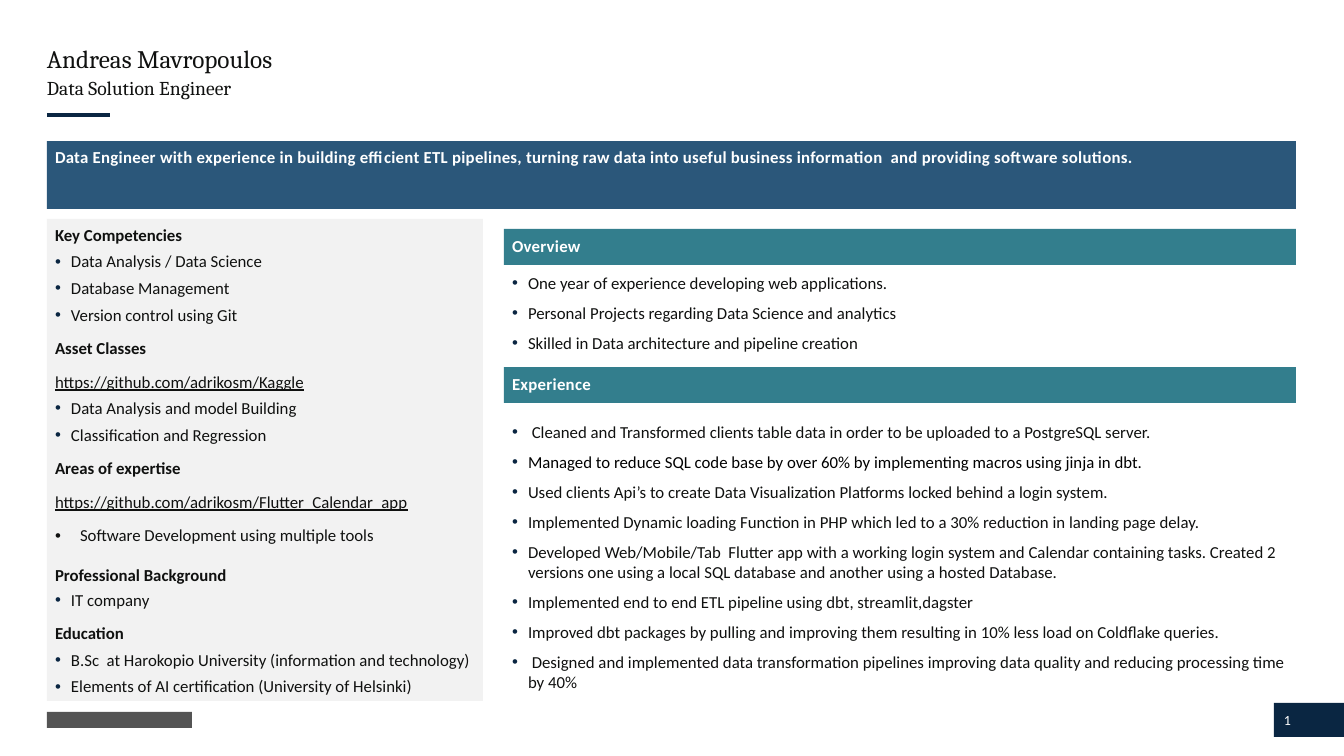
from lxml.etree import SubElement
from pptx import Presentation
from pptx.dml.color import RGBColor
from pptx.enum.shapes import MSO_CONNECTOR as Connector, MSO_SHAPE as Shape
from pptx.enum.text import MSO_ANCHOR as Anchor, PP_ALIGN as Align
from pptx.oxml.ns import qn
from pptx.util import Emu, Pt

NAVY, INK, WHITE, BULLET = "0A2642", "101110", "FFFFFF", "0A2541"
BANNER, TEAL, PANEL, GREY = "2B577A", "337E8D", "F2F2F2", "545454"

NAME = "Andreas Mavropoulos"
ROLE = "Data Solution Engineer"
SUMMARY = ("Data Engineer with experience in building efficient ETL pipelines, turning raw data "
           "into useful business information  and providing software solutions.")
PROFILE = [
    ("heading", "Key Competencies"),
    ("item", "Data Analysis / Data Science"),
    ("item", "Database Management"),
    ("item", "Version control using Git"),
    ("heading", "Asset Classes"),
    ("address", "https://github.com/adrikosm/Kaggle"),
    ("item", "Data Analysis and model Building"),
    ("item", "Classification and Regression"),
    ("heading", "Areas of expertise"),
    ("address", "https://github.com/adrikosm/Flutter_Calendar_app"),
    ("wide item", "Software Development using multiple tools"),
    ("late heading", "Professional Background"),
    ("item", "IT company"),
    ("heading", "Education"),
    ("item", "B.Sc  at Harokopio University (information and technology)"),
    ("item", "Elements of AI certification (University of Helsinki)"),
]
OVERVIEW = [
    ("point", "One year of experience developing web applications."),
    ("point", "Personal Projects regarding Data Science and analytics"),
    ("point", "Skilled in Data architecture and pipeline creation"),
]
EXPERIENCE = [
    ("point", " Cleaned and Transformed clients table data in order to be uploaded to a "
              "PostgreSQL server."),
    ("black point", "Managed to reduce SQL code base by over 60% by implementing macros using "
                    "jinja in dbt."),
    ("point", "Used clients Api’s to create Data Visualization Platforms locked behind a login "
              "system."),
    ("point", "Implemented Dynamic loading Function in PHP which led to a 30% reduction in "
              "landing page delay."),
    ("point", "Developed Web/Mobile/Tab  Flutter app with a working login system and Calendar "
              "containing tasks. Created 2 versions one using a local SQL database and another "
              "using a hosted Database."),
    ("point", "Implemented end to end ETL pipeline using dbt, streamlit,dagster"),
    ("point", "Improved dbt packages by pulling and improving them resulting in 10% less load "
              "on Coldflake queries."),
    ("point", " Designed and implemented data transformation pipelines improving data quality "
              "and reducing processing time by 40%"),
]

# indent in px, bullet colour, spacing in points
HEADING = dict(bold=True, before=10, after=1)
POINT = dict(indent=16, bullet=BULLET, line=1.0, before=5, after=2)
STYLES = {
    "name": dict(size=18, font="Cambria"),
    "role": dict(size=14, font="Cambria"),
    "bar": dict(bold=True, color=WHITE, tracking=20),
    "page": dict(size=10, color=WHITE, line=1.0),
    "heading": HEADING,
    "late heading": HEADING | dict(before=14.2, after=0),
    "address": dict(underline=True, before=10, after=1),
    "item": dict(indent=16, bullet=BULLET, before=5, after=1),
    "wide item": dict(indent=25, bullet=INK, before=10, after=1),
    "point": POINT,
    "black point": POINT | dict(color="000000"),
}

LEFT, RIGHT = 47, 1296
FULL = RIGHT - LEFT
COLUMN = 504
COLUMN_WIDTH = RIGHT - COLUMN
BAR_HEIGHT = 36
PAD = 8


def px(length):
    return Emu(round(length * 914400 / 100.8))


def rgb(color):
    return RGBColor.from_string(color)


def write(shape, lines, pad=PAD, anchor=Anchor.TOP):
    """Fill a shape with (style, text) lines."""
    frame = shape.text_frame
    frame.word_wrap = True
    frame.vertical_anchor = anchor
    frame.margin_left = frame.margin_right = px(pad)
    frame.margin_top = frame.margin_bottom = px(pad)
    frame.text = "\n".join(text for _, text in lines)
    for index, (paragraph, (style, _)) in enumerate(zip(frame.paragraphs, lines)):
        format_line(paragraph, first=index == 0, **STYLES[style])


def format_line(paragraph, first, size=12, font="Calibri", color=INK, bold=False,
                underline=False, tracking=0, indent=0, bullet=None,
                line=0.9, before=0, after=0):
    paragraph.alignment = Align.LEFT
    paragraph.line_spacing = line
    paragraph.space_before = Pt(0 if first else before)
    paragraph.space_after = Pt(after)
    if bullet:
        props = paragraph._p.get_or_add_pPr()
        props.set("marL", str(px(indent)))
        props.set("indent", str(-px(indent)))
        SubElement(SubElement(props, qn("a:buClr")), qn("a:srgbClr")).set("val", bullet)
        SubElement(props, qn("a:buFont")).set("typeface", "Arial")
        SubElement(props, qn("a:buChar")).set("char", "•")
    for run in paragraph.runs:
        run.font.name, run.font.size = font, Pt(size)
        run.font.bold, run.font.underline = bold, underline
        run.font.color.rgb = rgb(color)
        if tracking:
            run._r.get_or_add_rPr().set("spc", str(tracking))


def add_block(slide, box, color):
    block = slide.shapes.add_shape(Shape.RECTANGLE, *map(px, box))
    block.shadow.inherit = False
    block.fill.solid()
    block.fill.fore_color.rgb = rgb(color)
    block.line.fill.background()
    return block


def add_text(slide, box, lines, pad=PAD):
    write(slide.shapes.add_textbox(*map(px, box)), lines, pad)


def add_section(slide, heading, top, points, points_top, points_height):
    bar = add_block(slide, (COLUMN, top, COLUMN_WIDTH, BAR_HEIGHT), TEAL)
    write(bar, [("bar", heading)], anchor=Anchor.MIDDLE)
    add_text(slide, (COLUMN, points_top, COLUMN_WIDTH, points_height), points)


def main():
    deck = Presentation()
    deck.slide_width, deck.slide_height = px(1344), px(756)
    slide = deck.slides.add_slide(deck.slide_layouts[5])

    name = slide.shapes.title
    name.left, name.top, name.width, name.height = map(px, (LEFT, 47, FULL, 27))
    write(name, [("name", NAME)], pad=0, anchor=Anchor.BOTTOM)
    add_text(slide, (LEFT, 79, FULL, 27), [("role", ROLE)], pad=0)

    accent = slide.shapes.add_connector(Connector.STRAIGHT, *map(px, (LEFT, 115, 110, 115)))
    accent.line.color.rgb = rgb(NAVY)
    accent.line.width = Pt(3)
    SubElement(accent._element.spPr, qn("a:effectLst"))

    write(add_block(slide, (LEFT, 141, FULL, 68), BANNER), [("bar", SUMMARY)])
    write(add_block(slide, (LEFT, 219, 436, 482), PANEL), PROFILE)
    add_section(slide, "Overview", 229, OVERVIEW, 265, 113)
    add_section(slide, "Experience", 367, EXPERIENCE, 414, 286)

    add_block(slide, (LEFT, 712, 145, 16), GREY)
    page = add_block(slide, (1274, 703, 70, 34), NAVY)
    write(page, [("page", "1")], pad=10, anchor=Anchor.MIDDLE)

    deck.save("out.pptx")


if __name__ == "__main__":
    main()
